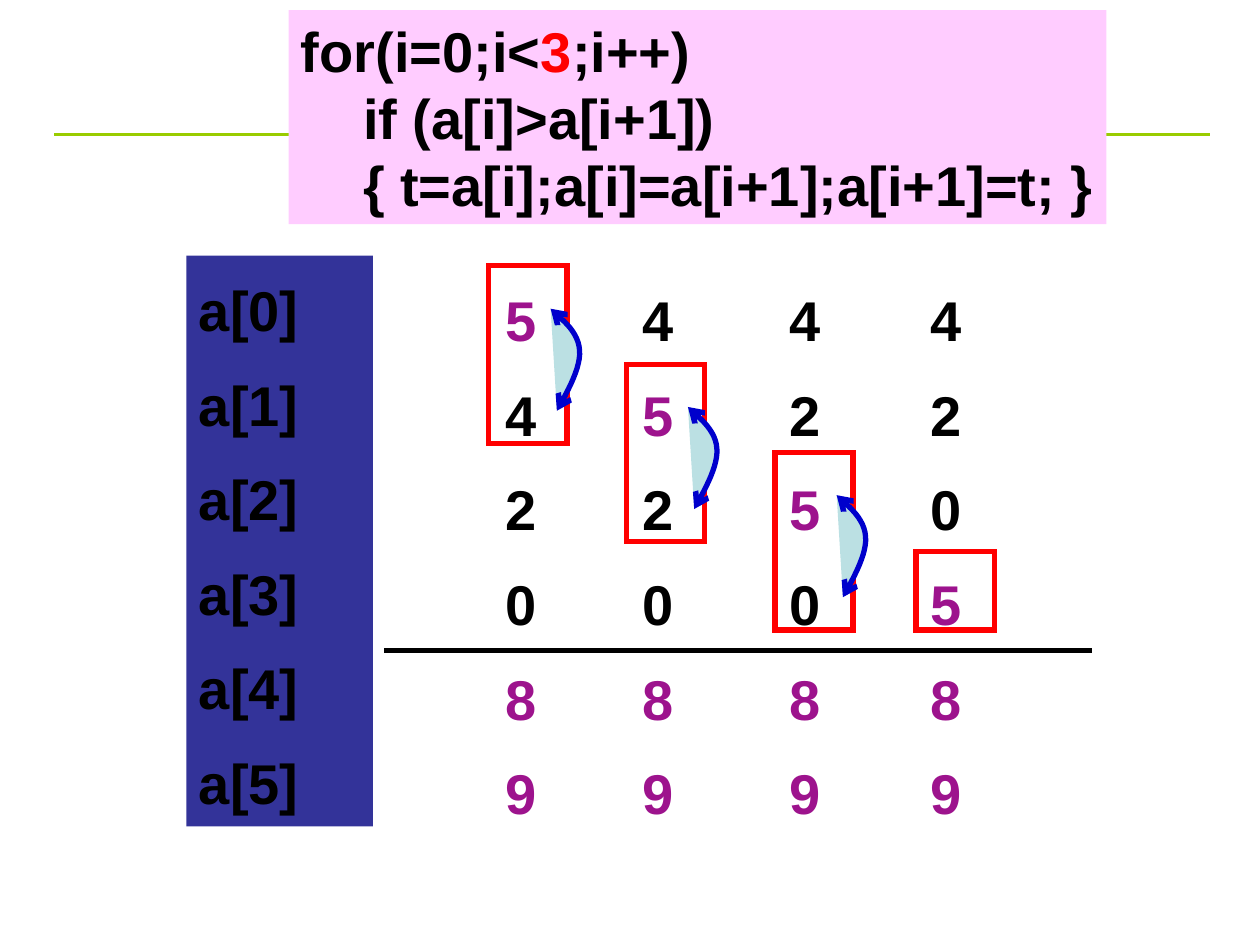
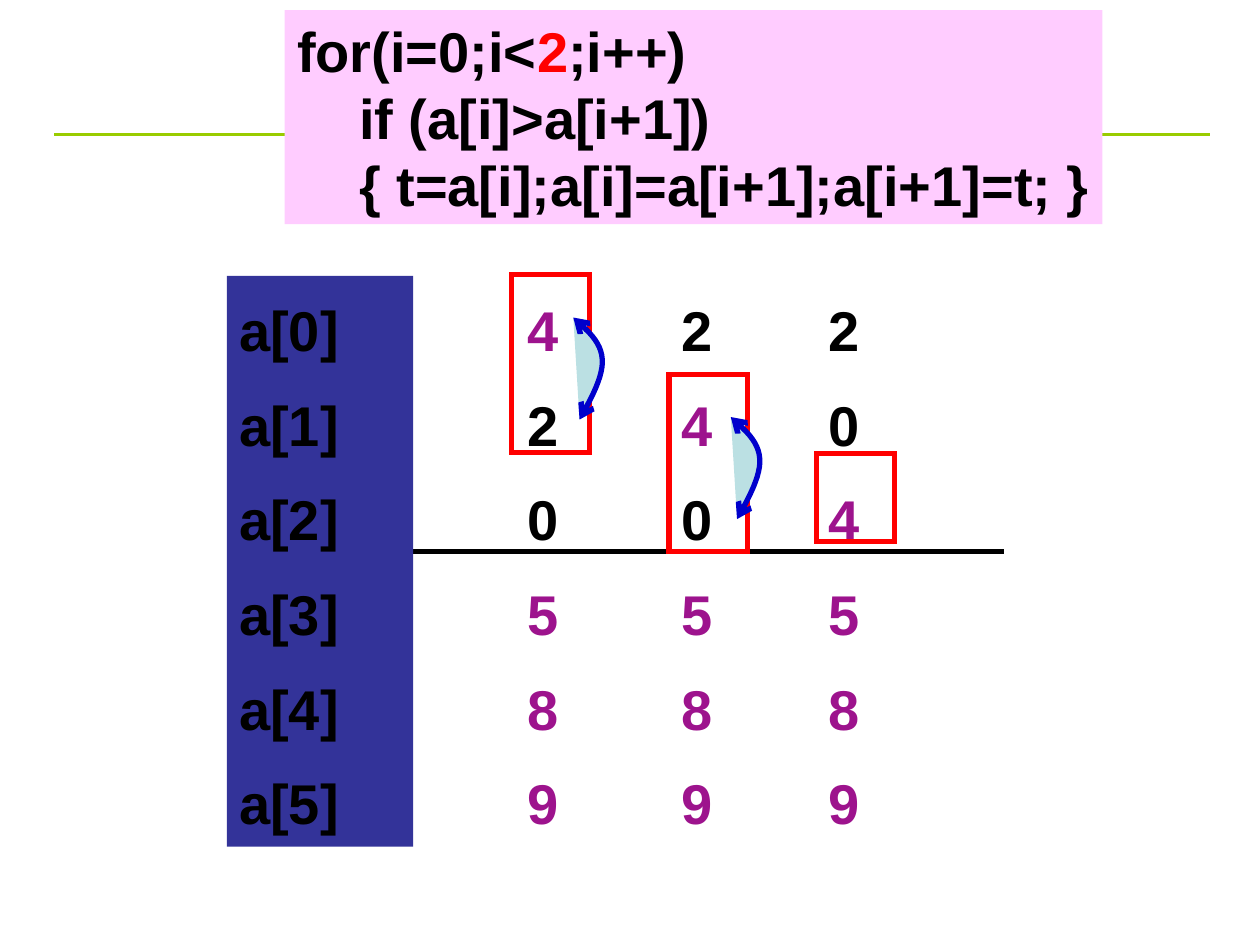
from lxml.etree import SubElement
from pptx import Presentation
from pptx.dml.color import RGBColor
from pptx.enum.shapes import MSO_CONNECTOR, MSO_SHAPE
from pptx.enum.text import MSO_ANCHOR, MSO_AUTO_SIZE, PP_ALIGN
from pptx.oxml.ns import qn
from pptx.util import Inches, Pt

HUE = {"rule": "99CC00", "ink": "000000", "done": "9D138D", "mark": "FF0000",
       "panel": "333399", "code": "FFCCFF", "arc": "0000CC", "bow": "BBE0E3"}
FONT, SIZE = "Arial", Pt(32)
ROWS = 6
HIGH = 4.53          # height of the label panel and of each column
PAIR = 1.41          # height of a frame around two neighbours
BOW = [((0.05, 0.81), (0.15, 0.63), (0.24, 0.46), (0.23, 0.33)),
       ((0.23, 0.33), (0.22, 0.19), (0.11, 0.10), (0, 0))]
STEPS = 12


def rgb(name):
    return RGBColor.from_string(HUE[name])


def style(run, hue="ink"):
    font = run.font
    font.name, font.size, font.bold = FONT, SIZE, True
    font.color.rgb = rgb(hue)


def paint(shape, fill=None, line=None):
    shape.shadow.inherit = False
    if fill:
        shape.fill.solid()
        shape.fill.fore_color.rgb = rgb(fill)
    else:
        shape.fill.background()
    if line:
        shape.line.color.rgb = rgb(line)
        shape.line.width = Pt(3)
        SubElement(shape.line._get_or_add_ln(), qn("a:miter"), lim="800000")
    else:
        shape.line.fill.background()


def rule(slide, left, right, y, hue, width):
    line = slide.shapes.add_connector(
        MSO_CONNECTOR.STRAIGHT, Inches(left), Inches(y), Inches(right), Inches(y))
    line.line.color.rgb = rgb(hue)
    line.line.width = Pt(width)
    SubElement(line._element.spPr, qn("a:effectLst"))


def block(slide, kind, left, top, width, height, fill=None, line=None):
    shape = slide.shapes.add_shape(
        kind, Inches(left), Inches(top), Inches(width), Inches(height))
    paint(shape, fill, line)
    return shape


def stack(shape, items, hues):
    """Write one spaced paragraph for each array cell."""
    frame = shape.text_frame
    frame.word_wrap = True
    frame.vertical_anchor = MSO_ANCHOR.TOP
    frame.text = "\n".join(items)
    for row, (para, hue) in enumerate(zip(frame.paragraphs, hues)):
        para.alignment = PP_ALIGN.LEFT
        para.line_spacing = 1.2
        para.space_before = Pt(8 if row else 0)
        style(para.runs[0], hue)


def bezier(points, t):
    weights = ((1 - t) ** 3, 3 * t * (1 - t) ** 2, 3 * t * t * (1 - t), t ** 3)
    return [sum(w * p[axis] for w, p in zip(weights, points)) for axis in (0, 1)]


def swap(slide, left, top):
    """Draw the curved double arrow between two neighbours."""
    dots = [BOW[0][0]] + [bezier(part, n / STEPS)
                          for part in BOW for n in range(1, STEPS + 1)]
    dots = [(Inches(left + x), Inches(top + y)) for x, y in dots]
    pen = slide.shapes.build_freeform(*dots[0])
    pen.add_line_segments(dots[1:], close=False)
    shape = pen.convert_to_shape()
    paint(shape, "bow", "arc")
    line = shape.line._get_or_add_ln()
    for end in ("a:headEnd", "a:tailEnd"):
        SubElement(line, qn(end), type="arrow")


def code(slide, left, last):
    shape = block(slide, MSO_SHAPE.RECTANGLE, left, 0.08, 6.49, 1.7, "code")
    frame = shape.text_frame
    frame.word_wrap = False
    frame.auto_size = MSO_AUTO_SIZE.SHAPE_TO_FIT_TEXT
    lines = [[("for(i=0;i<", "ink"), (str(last), "mark"), (";i++)", "ink")],
             [("    if (a[i]>a[i+1])", "ink")],
             [("    { t=a[i];a[i]=a[i+1];a[i+1]=t; }", "ink")]]
    for row, parts in enumerate(lines):
        para = frame.add_paragraph() if row else frame.paragraphs[0]
        para.alignment = PP_ALIGN.LEFT
        for text, hue in parts:
            run = para.add_run()
            run.text = text
            style(run, hue)


def column(slide, left, top, cells, step, last):
    box = slide.shapes.add_textbox(
        Inches(left), Inches(top), Inches(0.78), Inches(HIGH))
    hues = ["done" if row == step or row > last else "ink" for row in range(ROWS)]
    stack(box, [str(cell) for cell in cells], hues)


def sweep(slide, cells, top, lefts, frames, end):
    """Show one bubble pass, a column for each state of the array."""
    cells, last = list(cells), len(lefts) - 1
    for step, (left, (x, y)) in enumerate(zip(lefts, frames)):
        column(slide, left, top, cells, step, last)
        height = PAIR if step < last else end
        block(slide, MSO_SHAPE.FLOWCHART_PROCESS, x, y, 0.62, height, line="mark")
        if step < last:
            swap(slide, x + 0.49, y + 0.34)
            if cells[step] > cells[step + 1]:
                cells[step:step + 2] = cells[step + 1], cells[step]


def build(deck, cells, title, panel, bar, top, lefts, frames, end):
    slide = deck.slides.add_slide(deck.slide_layouts[6])
    rule(slide, 0.43, 9.6, 1.07, "rule", 1.5)
    rule(slide, *bar, "ink", 3)
    sweep(slide, cells, top, lefts, frames, end)
    names = block(slide, MSO_SHAPE.RECTANGLE, *panel, 1.48, HIGH, "panel")
    stack(names, [f"a[{row}]" for row in range(ROWS)], ["ink"] * ROWS)
    code(slide, title, len(lefts) - 1)


def main():
    deck = Presentation()
    deck.slide_width, deck.slide_height = Inches(10), Inches(7.5)
    build(deck, (5, 4, 2, 0, 8, 9), title=2.29, panel=(1.48, 2.03),
          bar=(3.05, 8.67, 5.16), top=2.11, lefts=(3.91, 5, 6.17, 7.29),
          frames=((3.88, 2.11), (4.97, 2.89), (6.15, 3.59), (7.27, 4.38)), end=0.62)
    build(deck, (4, 2, 0, 5, 8, 9), title=2.26, panel=(1.8, 2.19),
          bar=(3.28, 7.97, 4.38), top=2.19, lefts=(4.09, 5.31, 6.48),
          frames=((4.06, 2.18), (5.31, 2.97), (6.48, 3.6)), end=0.7)
    deck.save("out.pptx")


if __name__ == "__main__":
    main()
